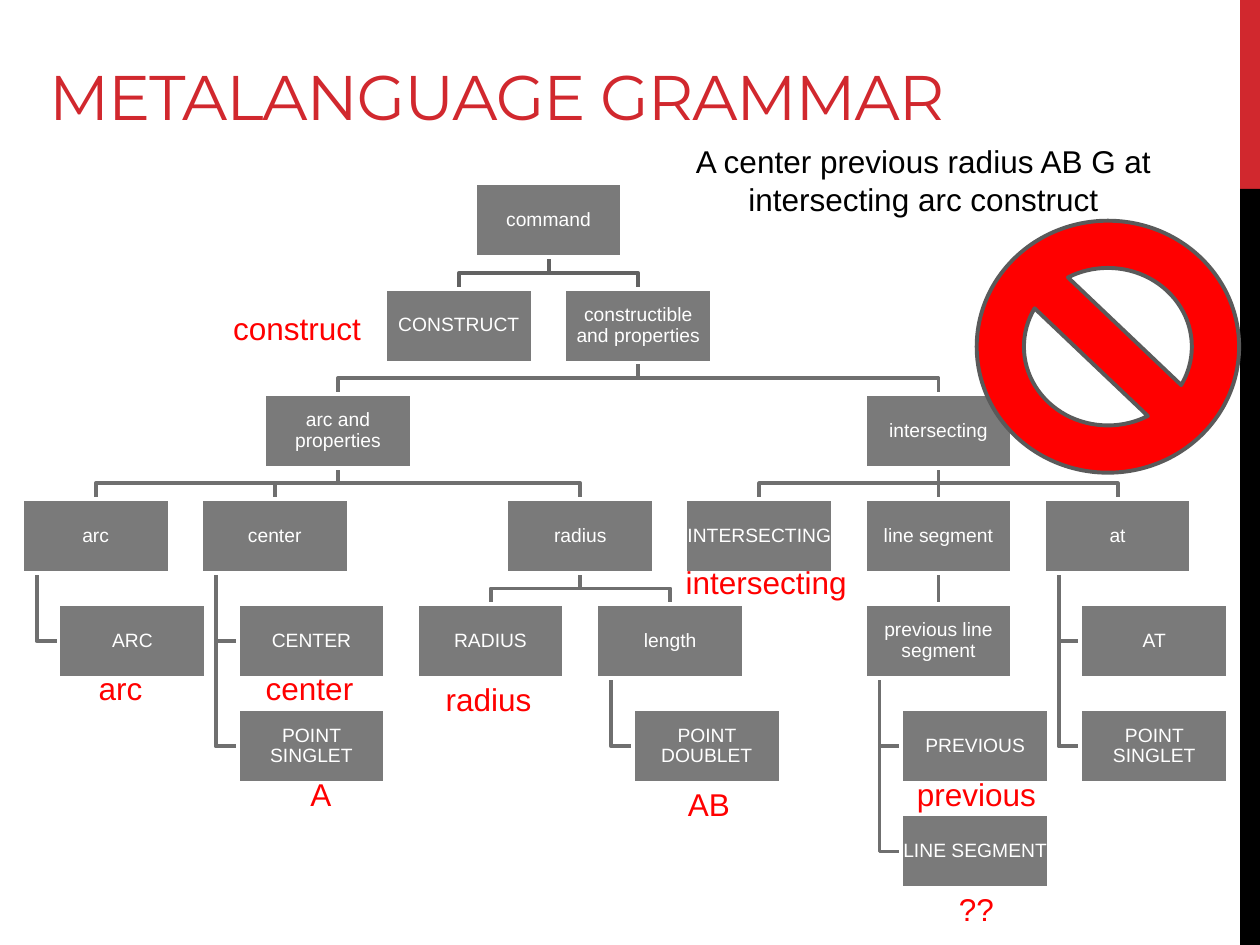
import pptx
import pptx.dml.color
import pptx.enum.shapes
import pptx.enum.text
import pptx.oxml.ns
import pptx.util
from lxml import etree

Cm, Pt = pptx.util.Cm, pptx.util.Pt
Kind = pptx.enum.shapes.MSO_SHAPE
Align = pptx.enum.text.PP_ALIGN
Anchor = pptx.enum.text.MSO_ANCHOR

COLORS = {"brand": "D1282E", "black": "000000", "white": "FFFFFF", "red": "FF0000",
          "box": "7A7A7A", "link": "6F6F6F", "root": "626262", "edge": "5A5A5A"}

# Tree grid in centimetres
BOX_W, BOX_H = 2.98, 1.49
TOP, STEP = 3.7, 2.12
HANG, STEM = 0.74, 0.3

# A branch is (name, kids), a placed box is (name, left, hanging names)
TREE = ("command", [
    ("CONSTRUCT", 7.76, []),
    ("constructible and properties", [
        ("arc and properties", [
            ("arc", 0.44, ["ARC"]),
            ("center", 4.05, ["CENTER", "POINT SINGLET"]),
            ("radius", [
                ("RADIUS", 8.4, []),
                ("length", 12.02, ["POINT DOUBLET"])])]),
        ("intersecting", [
            ("INTERSECTING", 13.82, []),
            ("line segment", [
                ("previous line segment", 17.43, ["PREVIOUS", "LINE SEGMENT"])]),
            ("at", 21.04, ["AT", "POINT SINGLET"])])])])

# Text, left, top, width
LABELS = [("arc", 0.84, 13.36, 3.18), ("radius", 8.26, 13.59, 3.18),
          ("AB", 12.7, 15.7, 3.18), ("intersecting", 13.54, 11.23, 3.81),
          ("center", 4.65, 13.36, 3.18), ("A", 4.88, 15.49, 3.18),
          ("previous", 17.78, 15.49, 3.81), ("??", 17.78, 17.81, 3.81)]


def paint(name):
    return pptx.dml.color.RGBColor.from_string(COLORS[name])


def write(frame, text, size=18, color="black", font="Arial", align=Align.CENTER,
          anchor=Anchor.TOP, inset=None, lead=None, track=None):
    """Fill a text frame; inset is in centimetres, track in 1/100 pt."""
    frame.word_wrap = True
    frame.vertical_anchor = anchor
    if inset is not None:
        frame.margin_left = frame.margin_right = Cm(inset)
        frame.margin_top = frame.margin_bottom = Cm(inset)
    para = frame.paragraphs[0]
    para.alignment = align
    if lead:
        para.line_spacing = lead
    run = para.add_run()
    run.text = text
    run.font.size = Pt(size)
    run.font.name = font
    run.font.color.rgb = paint(color)
    if track:
        run.font._element.set("spc", str(track))


class Deck:
    def __init__(self, slide, weight=2.25):
        self.shapes = slide.shapes
        self.weight = Pt(weight)

    def stroke(self, line, color):
        line.color.rgb = paint(color)
        line.width = self.weight

    def shape(self, kind, left, top, width, height, fill, edge=None):
        item = self.shapes.add_shape(kind, Cm(left), Cm(top), Cm(width), Cm(height))
        item.shadow.inherit = False
        item.fill.solid()
        item.fill.fore_color.rgb = paint(fill)
        if edge:
            self.stroke(item.line, edge)
        else:
            item.line.fill.background()
        return item

    def text(self, text, left, top, width, height=1.02, **style):
        item = self.shapes.add_textbox(Cm(left), Cm(top), Cm(width), Cm(height))
        write(item.text_frame, text, **style)

    def node(self, text, left, row):
        item = self.shape(Kind.RECTANGLE, left, TOP + row * STEP, BOX_W, BOX_H,
                          "box", "white")
        write(item.text_frame, text, size=11, color="white", anchor=Anchor.MIDDLE,
              inset=0.02, lead=0.9)

    def link(self, points, color):
        """Join points given in centimetres, as a plain line if all are upright."""
        spots = [(Cm(x), Cm(y)) for x, y in points]
        if max(x for x, _ in points) - min(x for x, _ in points) < 0.01:
            item = self.shapes.add_connector(
                pptx.enum.shapes.MSO_CONNECTOR.STRAIGHT, *spots[0], *spots[-1])
            etree.SubElement(item._element.spPr, pptx.oxml.ns.qn("a:effectLst"))
        else:
            build = self.shapes.build_freeform(*spots[0])
            build.add_line_segments(spots[1:], close=False)
            item = build.convert_to_shape()
            item.shadow.inherit = False
            item.fill.background()
        self.stroke(item.line, color)


def place(tree, row, nodes, links):
    """Collect boxes and links, centring each branch over its kids; return its left."""
    base = TOP + row * STEP + BOX_H
    if len(tree) == 3:
        name, left, names = tree
        for deep, text in enumerate(names, row + 1):
            mid = TOP + deep * STEP + BOX_H / 2
            stem = left + STEM
            nodes.append((text, left + HANG, deep))
            links.append(([(stem, base), (stem, mid), (left + HANG, mid)], "link"))
    else:
        name, kids = tree
        lefts = [place(kid, row + 1, nodes, links) for kid in kids]
        left = (lefts[0] + lefts[-1]) / 2
        start, end = left + BOX_W / 2, TOP + (row + 1) * STEP
        bend = (base + end) / 2
        for kid in lefts:
            drop = kid + BOX_W / 2
            links.append(([(start, base), (start, bend), (drop, bend), (drop, end)],
                          "link" if row else "root"))
    nodes.append((name, left, row))
    return left


def main():
    show = pptx.Presentation()
    show.slide_width, show.slide_height = Cm(25.4), Cm(19.05)
    deck = Deck(show.slides.add_slide(show.slide_layouts[6]))

    deck.shape(Kind.RECTANGLE, 25, 0, 0.4, 3.81, "brand")
    deck.shape(Kind.RECTANGLE, 25, 3.81, 0.4, 15.24, "black")
    deck.text("METALANGUAGE GRAMMAR", 0.74, -1, 21.29, 3.81, size=36, color="brand",
              font="Montserrat", align=Align.LEFT, anchor=Anchor.BOTTOM, track=-60)

    nodes, links = [], []
    place(TREE, 0, nodes, links)
    for link in links:
        deck.link(*link)
    for node in nodes:
        deck.node(*node)

    deck.text("A center previous radius AB G at intersecting arc construct",
              13.13, 2.74, 10.97, 1.8)
    deck.text("construct", 4.45, 6.1, 3.18, color="red", align=Align.LEFT)
    for label in LABELS:
        deck.text(*label, color="red")
    deck.shape(Kind.NO_SYMBOL, 19.69, 4.45, 5.29, 5.08, "red", "edge")

    show.save("out.pptx")


if __name__ == "__main__":
    main()
